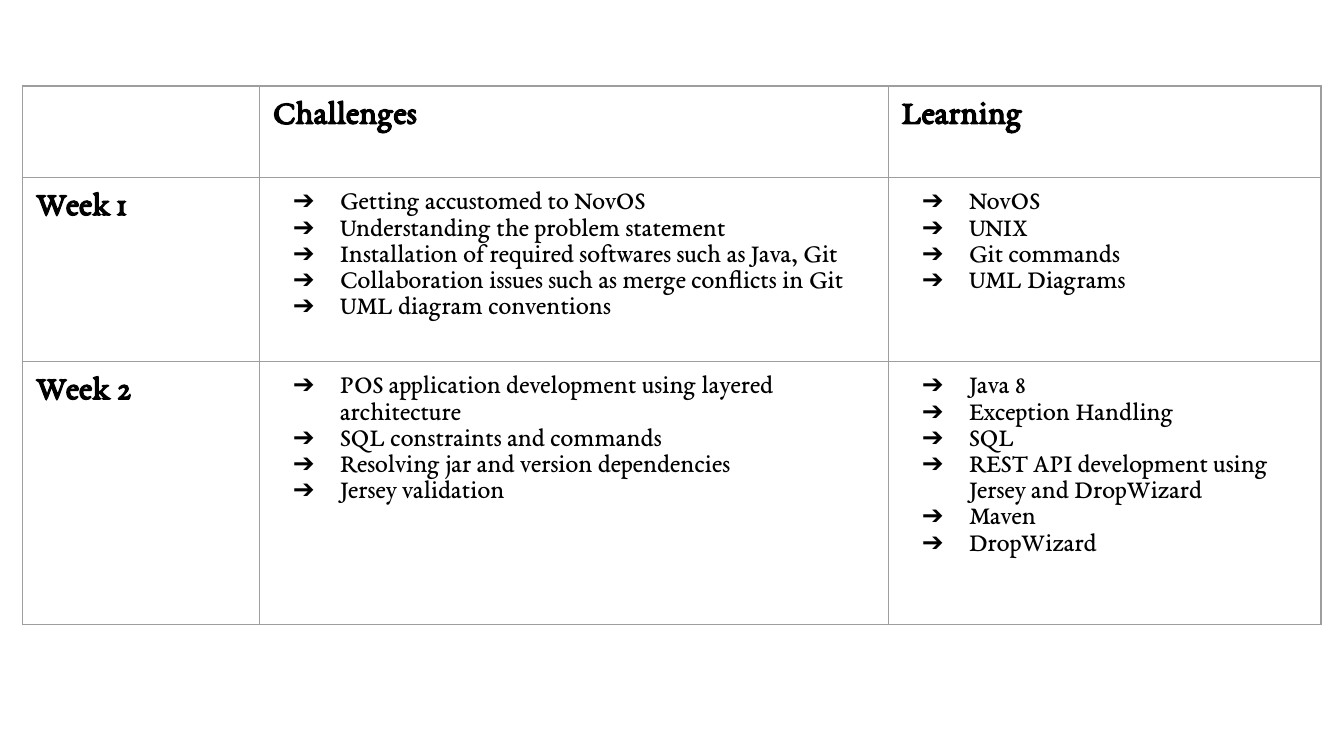
from lxml import etree
from pptx import Presentation
from pptx.dml.color import RGBColor
from pptx.oxml.ns import qn
from pptx.util import Inches, Pt

BLACK = RGBColor(0x00, 0x00, 0x00)
BORDER_GRAY = RGBColor(0x9E, 0x9E, 0x9E)
FONT = "EB Garamond"
SLIDE_WIDTH = Inches(10)
SLIDE_HEIGHT = SLIDE_WIDTH * 9 // 16
BORDER_WIDTH = Pt(0.75)
CELL_INSET = Inches(0.1)
BULLET_INDENT = Inches(0.5)
BULLET_HANG = Inches(-0.35)

HEADINGS = ["", "Challenges", "Learning"]
WEEKS = [
    ("Week 1",
     ["Getting accustomed to NovOS",
      "Understanding the problem statement",
      "Installation of required softwares such as Java, Git",
      "Collaboration issues such as merge conflicts in Git",
      "UML diagram conventions"],
     ["NovOS", "UNIX", "Git commands", "UML Diagrams"]),
    ("Week 2",
     ["POS application development using layered architecture",
      "SQL constraints and commands",
      "Resolving jar and version dependencies",
      "Jersey validation"],
     ["Java 8", "Exception Handling", "SQL",
      "REST API development using Jersey and DropWizard",
      "Maven", "DropWizard"]),
]
COLUMN_WIDTHS = [1.76, 4.68, 3.22]
ROW_HEIGHTS = [0.68, 1.37, 1.96]
TABLE_LEFT, TABLE_TOP = 0.17, 0.64

HEADING_FORMAT = {"name": FONT, "size": Pt(18), "bold": True}
ITEM_FORMAT = {"name": FONT, "size": Pt(14), "bold": False}


def add_solid_color(parent, color):
    etree.SubElement(parent, qn("a:srgbClr"), val=str(color))


def add_bullet(paragraph):
    properties = paragraph._p.get_or_add_pPr()
    properties.set("marL", str(BULLET_INDENT))
    properties.set("indent", str(BULLET_HANG))
    add_solid_color(etree.SubElement(properties, qn("a:buClr")), BLACK)
    etree.SubElement(properties, qn("a:buFont"), typeface=FONT)
    etree.SubElement(properties, qn("a:buChar"), char="➔")


def style_cell(cell):
    cell.fill.background()
    for side in ("left", "right", "top", "bottom"):
        setattr(cell, f"margin_{side}", CELL_INSET)
    properties = cell._tc.get_or_add_tcPr()
    for position, edge in enumerate(("lnL", "lnR", "lnT", "lnB")):
        line = etree.Element(qn(f"a:{edge}"), w=str(BORDER_WIDTH))
        add_solid_color(etree.SubElement(line, qn("a:solidFill")), BORDER_GRAY)
        properties.insert(position, line)


def write_cell(cell, content):
    is_list = isinstance(content, list)
    frame = cell.text_frame
    for index, text in enumerate(content if is_list else [content]):
        paragraph = frame.add_paragraph() if index else frame.paragraphs[0]
        if is_list:
            add_bullet(paragraph)
        if text:
            run = paragraph.add_run()
            run.text = text
            run.font.color.rgb = BLACK
            for key, value in (ITEM_FORMAT if is_list else HEADING_FORMAT).items():
                setattr(run.font, key, value)


def main():
    presentation = Presentation()
    presentation.slide_width = SLIDE_WIDTH
    presentation.slide_height = SLIDE_HEIGHT
    slide = presentation.slides.add_slide(presentation.slide_layouts[6])

    rows = [HEADINGS, *WEEKS]
    log = slide.shapes.add_table(
        len(rows), len(HEADINGS), Inches(TABLE_LEFT), Inches(TABLE_TOP),
        Inches(sum(COLUMN_WIDTHS)), Inches(sum(ROW_HEIGHTS))).table
    log.first_row = log.horz_banding = False
    for column, width in zip(log.columns, COLUMN_WIDTHS):
        column.width = Inches(width)
    for row, height, contents in zip(log.rows, ROW_HEIGHTS, rows):
        row.height = Inches(height)
        for cell, content in zip(row.cells, contents):
            style_cell(cell)
            write_cell(cell, content)

    presentation.save("out.pptx")


if __name__ == "__main__":
    main()
